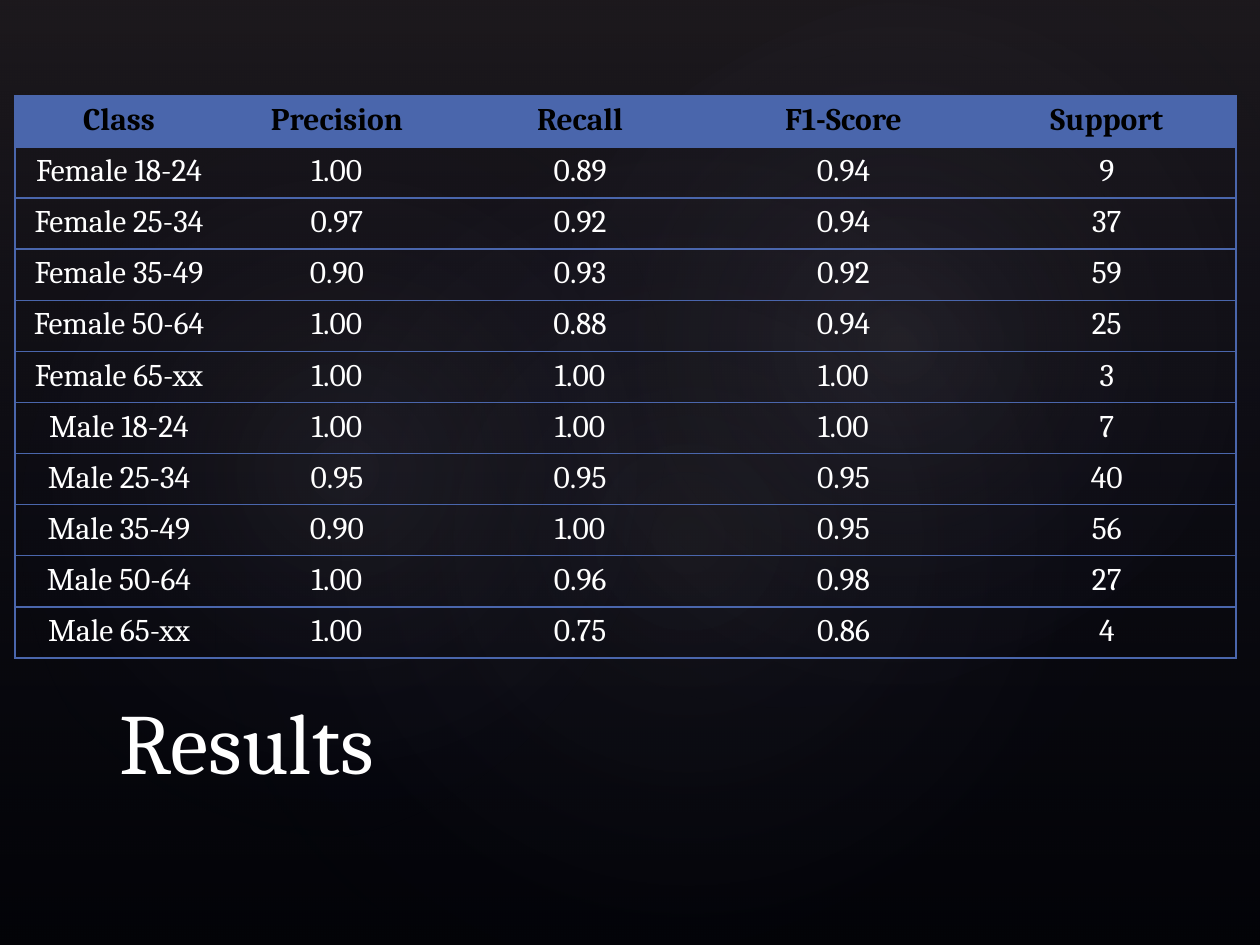
from dataclasses import dataclass

from lxml import etree
from pptx import Presentation
from pptx import util as u
from pptx.dml import color
from pptx.enum import shapes, text
from pptx.oxml import ns


@dataclass(frozen=True)
class Theme:
    font: str = "Cambria"
    background: str = "000000"
    light: str = "FFFFFF"
    dark: str = "000000"
    accent: str = "4A66AC"
    veil: str = "504652"
    navy: str = "242852"
    glow: str = "C4BCC6"
    title_size: float = 49
    table_size: float = 18
    border: float = 1


class SlideBuilder:
    def __init__(self, deck, theme):
        self.theme = theme
        self.page = deck.slides.add_slide(deck.slide_layouts[5])
        fill = self.page.background.fill
        fill.solid()
        fill.fore_color.rgb = color.RGBColor.from_string(theme.background)

    def add_span(self, para, words, size, ink, bold=False):
        span = para.add_run()
        span.text = words
        span.font.name = self.theme.font
        span.font.size = u.Pt(size)
        span.font.bold = bold
        span.font.color.rgb = color.RGBColor.from_string(ink)

    def gradient(self, kind, frame, stops, rotation=0):
        shape = self.page.shapes.add_shape(kind, *map(u.Pt, frame))
        shape.rotation = rotation
        shape.shadow.inherit = False
        shape.line.fill.background()
        shape.fill.background()
        grad = etree.Element(ns.qn("a:gradFill"), rotWithShape="1")
        stop_list = etree.SubElement(grad, ns.qn("a:gsLst"))
        for position, ink, opacity in stops:
            stop = etree.SubElement(stop_list, ns.qn("a:gs"), pos=str(position * 1000))
            tint = etree.SubElement(stop, ns.qn("a:srgbClr"), val=ink)
            etree.SubElement(tint, ns.qn("a:alpha"), val=str(opacity * 1000))
        if kind == shapes.MSO_SHAPE.OVAL:
            centre = etree.SubElement(grad, ns.qn("a:path"), {"path": "circle"})
            etree.SubElement(centre, ns.qn("a:fillToRect"),
                             dict.fromkeys("ltrb", "50000"))
        else:
            etree.SubElement(grad, ns.qn("a:lin"), ang="5400000", scaled="0")
        properties = shape._element.spPr
        properties.replace(properties.find(ns.qn("a:noFill")), grad)

    def title(self, words, frame):
        box = self.page.shapes.title
        self.page.shapes._spTree.append(box._element)
        box.left, box.top, box.width, box.height = map(u.Pt, frame)
        box.text_frame.word_wrap = True
        box.text_frame.auto_size = text.MSO_AUTO_SIZE.NONE
        box.text_frame.vertical_anchor = text.MSO_ANCHOR.BOTTOM
        para = box.text_frame.paragraphs[0]
        para.alignment = text.PP_ALIGN.LEFT
        self.add_span(para, words, self.theme.title_size, self.theme.light)

    def borders(self, cell, sides):
        properties = cell._tc.get_or_add_tcPr()
        for side in "LRTB":
            line = etree.SubElement(properties, ns.qn(f"a:ln{side}"),
                                    w=str(u.Pt(self.theme.border)))
            if side in sides:
                fill = etree.SubElement(line, ns.qn("a:solidFill"))
                etree.SubElement(fill, ns.qn("a:srgbClr"), val=self.theme.accent)
            else:
                etree.SubElement(line, ns.qn("a:noFill"))

    def table(self, rows, left, top, widths, row_height):
        frame = self.page.shapes.add_table(
            len(rows), len(widths), u.Pt(left), u.Pt(top),
            u.Pt(sum(widths)), u.Pt(row_height * len(rows)))
        grid = frame.table
        grid.horz_banding = False
        for column, width in zip(grid.columns, widths):
            column.width = u.Pt(width)
        for r, values in enumerate(rows):
            grid.rows[r].height = u.Pt(row_height)
            for c, value in enumerate(values):
                self.cell(grid.cell(r, c), value, r == 0,
                          c == 0, c == len(widths) - 1)

    def cell(self, cell, value, header, first, last):
        self.borders(cell, "TB" + "L" * first + "R" * last)
        if header:
            cell.fill.solid()
            cell.fill.fore_color.rgb = color.RGBColor.from_string(self.theme.accent)
        else:
            cell.fill.background()
        para = cell.text_frame.paragraphs[0]
        para.alignment = text.PP_ALIGN.CENTER
        ink = self.theme.dark if header else self.theme.light
        self.add_span(para, value, self.theme.table_size, ink, header)


RESULTS = [
    ("Class", "Precision", "Recall", "F1-Score", "Support"),
    ("Female 18-24", "1.00", "0.89", "0.94", "9"),
    ("Female 25-34", "0.97", "0.92", "0.94", "37"),
    ("Female 35-49", "0.90", "0.93", "0.92", "59"),
    ("Female 50-64", "1.00", "0.88", "0.94", "25"),
    ("Female 65-xx", "1.00", "1.00", "1.00", "3"),
    ("Male 18-24", "1.00", "1.00", "1.00", "7"),
    ("Male 25-34", "0.95", "0.95", "0.95", "40"),
    ("Male 35-49", "0.90", "1.00", "0.95", "56"),
    ("Male 50-64", "1.00", "0.96", "0.98", "27"),
    ("Male 65-xx", "1.00", "0.75", "0.86", "4"),
]
GLOWS = [
    ((108, 82, 570, 449.5), 328.7, 7),
    ((-21.5, 92, 436.5, 353), 294.3, 8),
    ((258, 9.5, 510.5, 374.5), 328.7, 8),
]

theme = Theme()
deck = Presentation()
deck.slide_width, deck.slide_height = u.Pt(720), u.Pt(540)
slide = SlideBuilder(deck, theme)
slide.gradient(shapes.MSO_SHAPE.RECTANGLE, (0, 0, 720, 540),
               [(0, theme.veil, 36), (100, theme.navy, 10)])
for frame, rotation, opacity in GLOWS:
    slide.gradient(shapes.MSO_SHAPE.OVAL, frame,
                   [(0, theme.glow, opacity), (58, theme.navy, 0)], rotation)
slide.title("Results", (61.2, 384, 594, 72))
slide.table(RESULTS, 8.6, 54.8, (118.8, 130.3, 147.6, 153.4, 147.6), 29.2)
deck.save("out.pptx")
